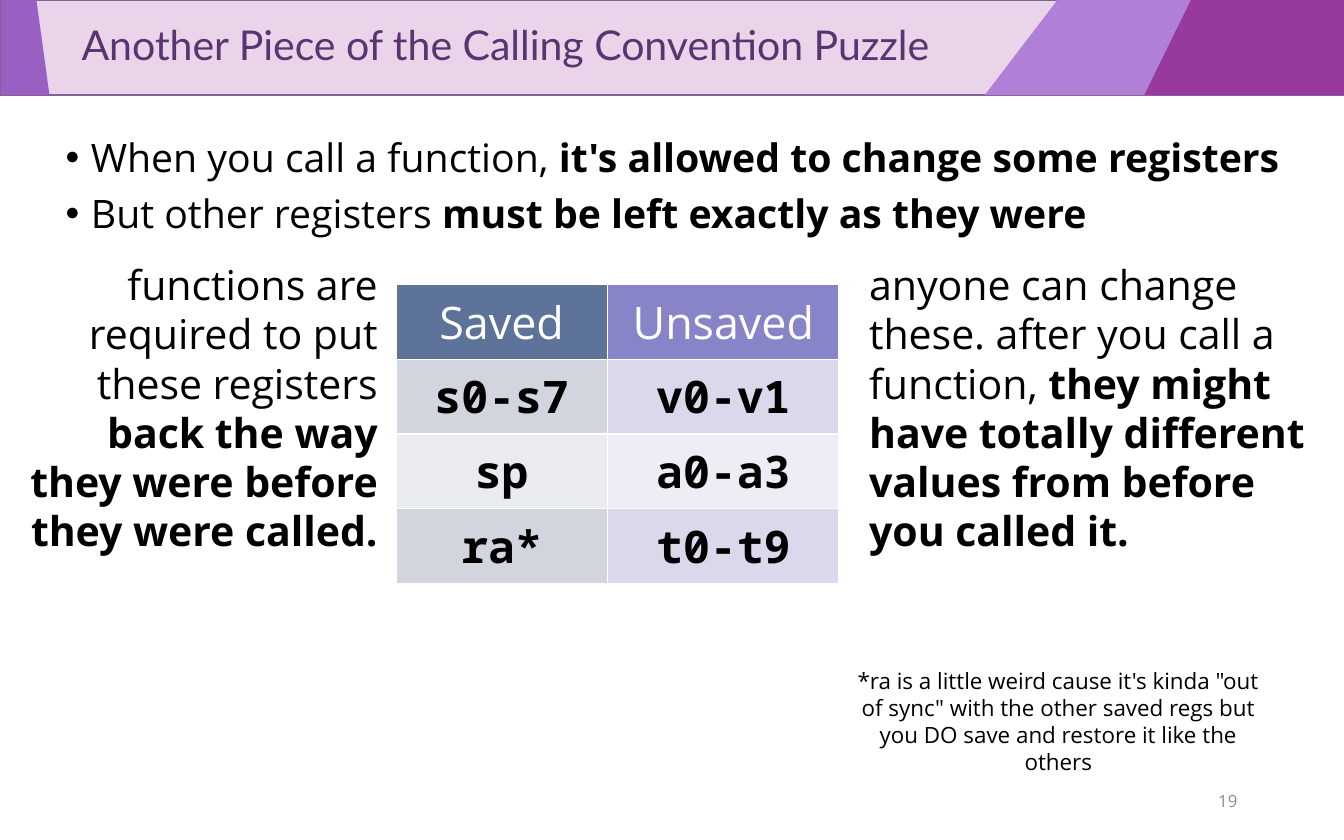
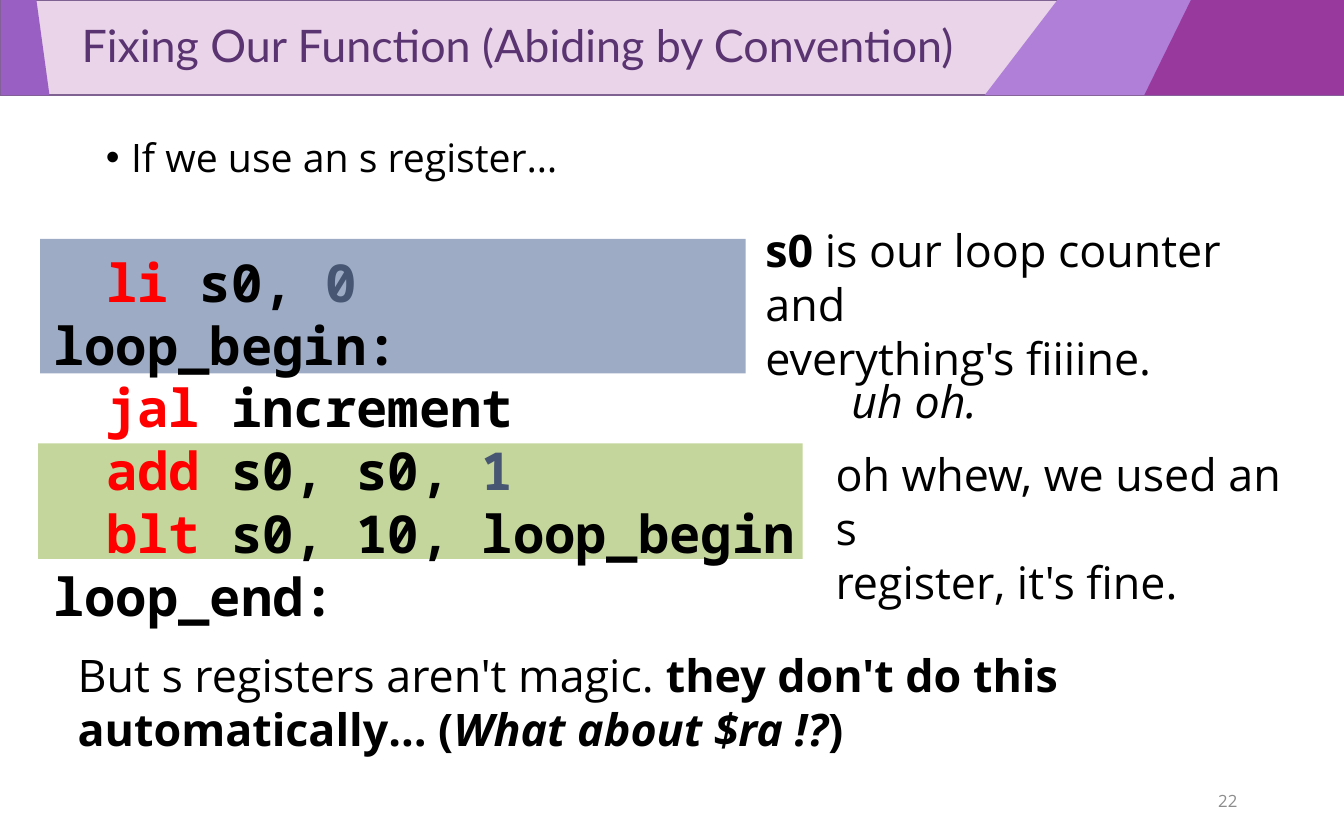
import dataclasses

import pptx
import pptx.dml.color
import pptx.enum.shapes
import pptx.enum.text
import pptx.util

Pt = pptx.util.Pt
RGB = pptx.dml.color.RGBColor.from_string
ALIGN = pptx.enum.text.PP_ALIGN
ANCHOR = pptx.enum.text.MSO_ANCHOR
FIT = pptx.enum.text.MSO_AUTO_SIZE
RECT = pptx.enum.shapes.MSO_SHAPE.RECTANGLE


@dataclasses.dataclass(frozen=True)
class Theme:
    heading: str = "Lato"
    text: str = "Open Sans"
    mono: str = "Noto Sans Mono"
    black: str = "000000"
    white: str = "FFFFFF"
    title: str = "5A3471"
    number: str = "8C8C8C"
    band: str = "E9D4E9"
    band_line: str = "806292"
    lilac: str = "B07FD8"
    violet: str = "995FC2"
    plum: str = "98399D"
    keyword: str = "FF0000"
    literal: str = "465673"
    blue_box: str = "9DABC4"
    green_box: str = "C4D69B"
    saved: tuple = ("5D739A", "D2D5DE", "EAEBEF")
    unsaved: tuple = ("8784C7", "D9D9EB", "EDEDF5")
    body_size: float = 21
    side_size: float = 22
    large_size: float = 24
    code_size: float = 28
    note_size: float = 12
    number_size: float = 9


T = Theme()
BOLD = {"bold": True}
BOLD_ITALIC = {"bold": True, "italic": True}
KEYWORD = {"color": T.keyword}
LITERAL = {"color": T.literal}


class Deck:
    width, height, band_height = 720, 450, 51

    def __init__(self):
        self.prs = pptx.Presentation()
        self.prs.slide_width = Pt(self.width)
        self.prs.slide_height = Pt(self.height)
        self.layout = self.prs.slide_layouts[1]
        for sp in list(self.layout.placeholders)[2:]:
            self.layout.shapes.element.remove(sp.element)
        self.s = None

    def slide(self, title, title_size, number):
        first = self.s is None
        self.s = self.prs.slides.add_slide(self.layout)
        if first:
            self.bands()
        sp = self.s.shapes.title
        self.place(sp, 0.5, 0, self.width, self.band_height)
        tf = sp.text_frame
        tf.auto_size = FIT.NONE
        tf.vertical_anchor = ANCHOR.MIDDLE
        p = self.paragraph(tf.paragraphs[0], [title], title_size, T.title, T.heading, ALIGN.LEFT)
        p.line_spacing = 0.9
        self.indent(p, 36)
        self.text([[number]], 508, 417, 162, 24, T.number_size, T.number,
                  align=ALIGN.RIGHT, anchor=ANCHOR.MIDDLE, fit=FIT.NONE)

    def bands(self):
        w, h = self.width, self.band_height
        shapes = [
            self.box(0, 0, w, h, T.band, T.band_line),
            self.outline([(566.5, 0), (w, 0), (w, h), (527.5, h)], T.lilac),
            self.outline([(0.5, 0), (19.5, 0), (26.5, h), (0.5, h)], T.violet),
            self.outline([(638, 0), (w, 0), (w, h), (613, h)], T.plum),
        ]
        for i, sp in enumerate(shapes):
            self.layout.shapes.element.insert(2 + i, sp.element)

    def place(self, sp, x, y, w, h):
        sp.left, sp.top, sp.width, sp.height = Pt(x), Pt(y), Pt(w), Pt(h)

    def paint(self, sp, fill, line=None):
        sp.shadow.inherit = False
        sp.fill.solid()
        sp.fill.fore_color.rgb = RGB(fill)
        if line:
            sp.line.color.rgb = RGB(line)
            sp.line.width = Pt(1)
        else:
            sp.line.fill.background()
        return sp

    def box(self, x, y, w, h, fill, line=None):
        sp = self.s.shapes.add_shape(RECT, Pt(x), Pt(y), Pt(w), Pt(h))
        return self.paint(sp, fill, line)

    def outline(self, points, fill):
        points = [(Pt(x), Pt(y)) for x, y in points]
        fb = self.s.shapes.build_freeform(*points[0])
        fb.add_line_segments(points[1:], close=True)
        return self.paint(fb.convert_to_shape(), fill)

    def indent(self, p, left, first=0):
        pPr = p._p.get_or_add_pPr()
        pPr.set("marL", str(Pt(left)))
        pPr.set("indent", str(Pt(first)))

    def paragraph(self, p, runs, size, color=T.black, font=T.text, align=None, bold=None):
        p.alignment = align
        p.font.size = Pt(size)
        p.font.name = font
        p.font.bold = bold
        p.font.color.rgb = RGB(color)
        for run in runs:
            text, style = (run, {}) if isinstance(run, str) else run
            r = p.add_run()
            r.text = text
            r.font.bold = style.get("bold")
            r.font.italic = style.get("italic")
            if "color" in style:
                r.font.color.rgb = RGB(style["color"])
        return p

    def paragraphs(self, tf, lines, *args):
        for i, runs in enumerate(lines):
            p = tf.add_paragraph() if i else tf.paragraphs[0]
            yield self.paragraph(p, runs, *args)

    def body(self, lines, x, w):
        sp = self.s.placeholders[1]
        self.place(sp, x, 70.5, w, 335)
        sp.text_frame.auto_size = FIT.NONE
        for p in self.paragraphs(sp.text_frame, lines, T.body_size):
            p.line_spacing = 0.9
            p.space_before = Pt(7.5)
            self.indent(p, 13.5, -13.5)

    def text(self, lines, x, y, w, h, size, color=T.black, font=T.text, align=None, bold=None,
             anchor=ANCHOR.TOP, wrap=True, fit=FIT.SHAPE_TO_FIT_TEXT):
        tf = self.s.shapes.add_textbox(Pt(x), Pt(y), Pt(w), Pt(h)).text_frame
        tf.word_wrap = wrap
        tf.auto_size = fit
        tf.vertical_anchor = anchor
        return list(self.paragraphs(tf, lines, size, color, font, align, bold))

    def code(self, lines, x, y, w, h):
        ps = self.text([runs for _, runs in lines], x, y, w, h, T.code_size,
                       font=T.mono, bold=True, wrap=False)
        for p, (level, _) in zip(ps, lines):
            self.indent(p, 28.25 * level)

    def table(self, heading, registers, x, w, fills):
        names = [heading] + registers
        y, row = 152.5, 36
        tbl = self.s.shapes.add_table(len(names), 1, Pt(x), Pt(y), Pt(w), Pt(row * len(names))).table
        for i, name in enumerate(names):
            cell = tbl.cell(i, 0)
            cell.fill.solid()
            cell.fill.fore_color.rgb = RGB(fills[0 if i == 0 else 2 - i % 2])
            color, font = (T.black, T.mono) if i else (T.white, T.text)
            self.paragraph(cell.text_frame.paragraphs[0], [name], T.large_size, color, font,
                           ALIGN.CENTER, i > 0)


d = Deck()

d.slide("Another Piece of the Calling Convention Puzzle", 22, "19")
d.body([
    ["When you call a function, ", ("it's allowed to change some registers", BOLD)],
    ["But other registers ", ("must be left exactly as they were", BOLD)],
], 28, 684)
d.table("Saved", ["s0-s7", "sp", "ra*"], 212, 113.5, T.saved)
d.table("Unsaved", ["v0-v1", "a0-a3", "t0-t9"], 325.5, 124, T.unsaved)
d.text([["functions are required to put these registers ",
         ("back the way they were before they were called.", BOLD)]],
       8, 135.5, 201.5, 167, T.side_size, align=ALIGN.RIGHT)
d.text([["anyone can change these. after you call a function, ",
         ("they might have totally different values from before you called it.", BOLD)]],
       458.5, 135.5, 250, 167, T.side_size)
d.text([["*ra is a little weird cause it's kinda \"out of sync\" with the other saved regs "
         "but you DO save and restore it like the others"]],
       450, 354, 234, 51, T.note_size, align=ALIGN.CENTER)

d.slide("Fixing Our Function (Abiding by Convention)", 24, "22")
d.body([["If we use an s register…"]], 49.5, 621)
d.text([["oh whew, we used an s"], ["register, it's fine."]], 440.5, 236, 259, 65.5, T.large_size)
d.box(20.5, 237.5, 409.5, 62, T.green_box)
d.box(21.5, 128, 378, 72, T.blue_box)
d.text([[("s0", BOLD), " is our loop counter and"], ["everything's fiiiine."]],
       403, 116, 297, 65.5, T.large_size)
d.text([[("uh oh.", {"italic": True})]], 449, 196.5, 82, 36, T.large_size, wrap=False)
d.text([["But s registers aren't magic. ", ("they don't do this automatically… (", BOLD),
         ("What about $ra !?", BOLD_ITALIC), (")", BOLD)]],
       34.5, 343.5, 674.5, 65.5, T.large_size)
d.code([
    (1, [("li ", KEYWORD), "s0, ", ("0", LITERAL)]),
    (0, ["loop_begin:"]),
    (1, [("jal ", KEYWORD), "increment"]),
    (1, [("add", KEYWORD), " s0, s0, ", ("1", LITERAL)]),
    (1, [("blt ", KEYWORD), "s0, 10, loop_begin"]),
    (0, ["loop_end:"]),
], 21.5, 130.5, 412.5, 211)

d.prs.save("out.pptx")
